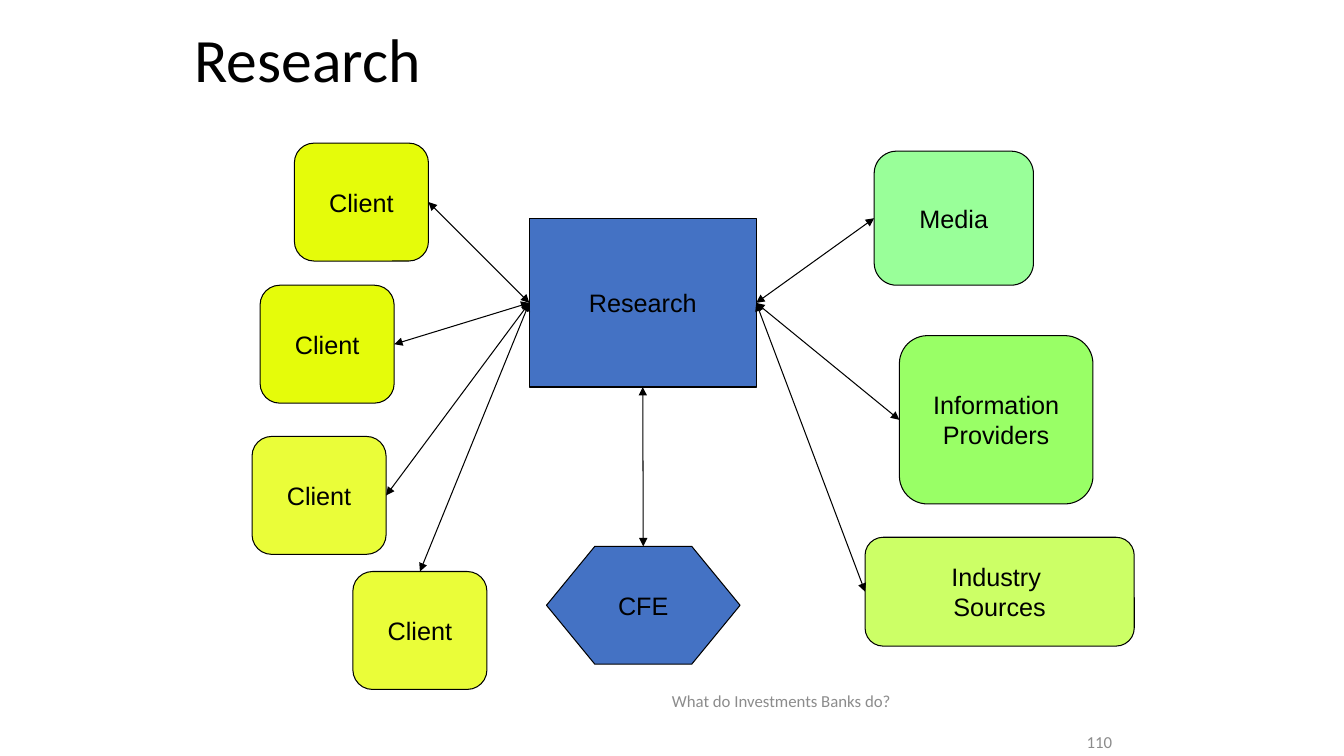
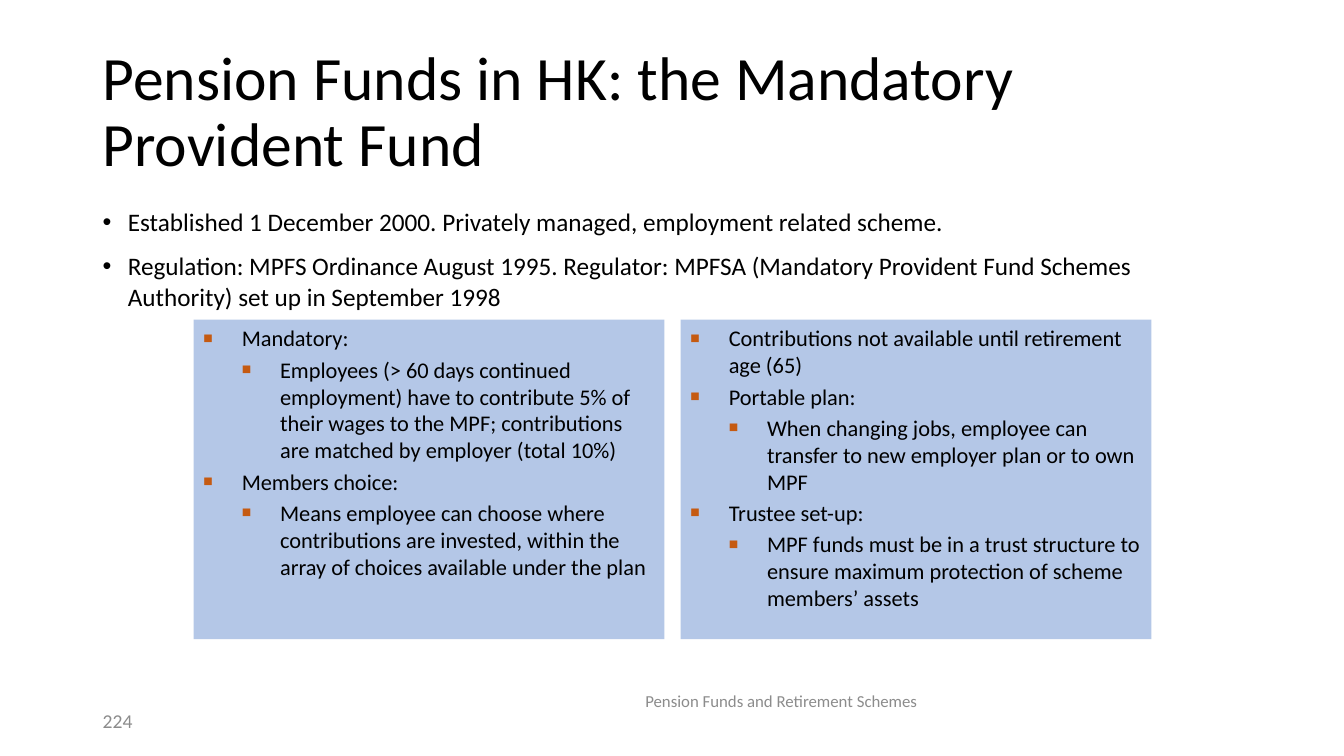
"""Build two slides: a research relationship diagram and a pension fund overview."""
from lxml import etree
from pptx import Presentation
from pptx.dml.color import RGBColor
from pptx.enum.shapes import MSO_CONNECTOR, MSO_SHAPE
from pptx.enum.text import MSO_ANCHOR, PP_ALIGN
from pptx.oxml.ns import qn
from pptx.util import Inches, Pt

RECT, ROUND, HEXAGON = MSO_SHAPE.RECTANGLE, MSO_SHAPE.ROUNDED_RECTANGLE, MSO_SHAPE.HEXAGON
STRAIGHT = MSO_CONNECTOR.STRAIGHT
LEFT, CENTER = PP_ALIGN.LEFT, PP_ALIGN.CENTER
TOP, MIDDLE = MSO_ANCHOR.TOP, MSO_ANCHOR.MIDDLE
SIDE_TOP, SIDE_LEFT, SIDE_BOTTOM, SIDE_RIGHT = range(4)

COLORS = {
    "ink": "000000", "muted": "8C8C8C", "blue": "4472C4", "panel": "B4C7E7",
    "square": "C55A11", "yellow": "E5FC0A", "pale_yellow": "EAFD39",
    "mint": "99FF99", "green": "99FF66", "lime": "CCFF66",
}
FOOTER_AREA = (3.84, 6.72, 7.82, 0.47)
CLIENT_SIZE = (1.33, 1.17)

RESEARCH_SLIDE = {
    "title": ("Research", (1.83, 0, 9.67, 1.25)),
    "footer": "What do Investments Banks do?",
    "number": ("110", (10.68, 7.2, 1.01, 0.32), 12),
}
HUB = (["Research"], (5.25, 2.17, 2.25, 1.67), "blue")
CFE = (["CFE"], (5.42, 5.42, 1.92, 1.17), "blue")
CLIENTS = [
    ((2.92, 1.42), "yellow", SIDE_RIGHT),
    ((2.58, 2.83), "yellow", SIDE_RIGHT),
    ((2.5, 4.33), "pale_yellow", SIDE_RIGHT),
    ((3.5, 5.67), "pale_yellow", SIDE_TOP),
]
SOURCES = [
    (["Media"], (8.67, 1.5, 1.58, 1.33), "mint"),
    (["Information", "Providers"], (8.92, 3.33, 1.92, 1.67), "green"),
    (["Industry ", "Sources"], (8.58, 5.33, 2.67, 1.08), "lime"),
]

PENSION_SLIDE = {
    "title": ("Pension Funds in HK: the Mandatory Provident Fund", (0.92, 0.4, 11.5, 1.45)),
    "footer": "Pension Funds and Retirement Schemes",
    "number": ("224", (0.92, 6.95, 3, 0.4), 14),
}
INTRO = [
    "Established 1 December 2000. Privately managed, employment related scheme.",
    "Regulation: MPFS Ordinance August 1995. Regulator: MPFSA (Mandatory Provident "
    "Fund Schemes Authority) set up in September 1998",
]
INTRO_AREA = (0.92, 2, 11.5, 4.76)
PANELS = [
    [
        (0, "Mandatory:"),
        (1, "Employees (> 60 days continued employment) have to contribute 5% of their "
            "wages to the MPF; contributions are matched by employer (total 10%)"),
        (0, "Members choice:"),
        (1, "Means employee can choose where contributions are invested, within the "
            "array of choices available under the plan"),
    ],
    [
        (0, "Contributions not available until retirement age (65)"),
        (0, "Portable plan:"),
        (1, "When changing jobs, employee can transfer to new employer plan or to own MPF"),
        (0, "Trustee set-up:"),
        (1, "MPF funds must be in a trust structure to ensure maximum protection of "
            "scheme members’ assets"),
    ],
]
PANEL_LEFT, PANEL_TOP, PANEL_WIDTH, PANEL_HEIGHT, PANEL_GAP = 1.92, 3.17, 4.67, 3.17, 0.16


def rgb(name):
    """Return the named colour."""
    return RGBColor.from_string(COLORS[name])


def add_bullet(para, mark, indent, level, color=None, percent=None):
    """Give a paragraph a hanging bullet."""
    para.level = level
    props = para._p.get_or_add_pPr()
    props.set("marL", str(Inches(indent * (level + 1))))
    props.set("indent", str(-Inches(indent)))
    if color:
        holder = etree.SubElement(props, qn("a:buClr"))
        etree.SubElement(holder, qn("a:srgbClr"), val=COLORS[color])
    if percent:
        etree.SubElement(props, qn("a:buSzPct"), val=str(percent * 1000))
    etree.SubElement(props, qn("a:buFont"), typeface="Arial")
    etree.SubElement(props, qn("a:buChar"), char=mark)


def write(box, items, size, font="Calibri", color="ink", align=LEFT, anchor=TOP,
          wrap=True, spacing=None, before=0, bullet=None):
    """Fill a box with (level, text) paragraphs."""
    frame = box.text_frame
    frame.word_wrap = wrap
    frame.vertical_anchor = anchor
    for index, (level, text) in enumerate(items):
        para = frame.paragraphs[0] if index == 0 else frame.add_paragraph()
        if bullet:
            add_bullet(para, level=level, **bullet)
        para.alignment = align
        if spacing:
            para.line_spacing = spacing
        if index and before:
            para.space_before = Pt(before)
        span = para.add_run()
        span.text = text
        span.font.name = font
        span.font.size = Pt(size)
        span.font.color.rgb = rgb(color)


def add_text(page, area, items, size, **style):
    """Add a text box."""
    write(page.shapes.add_textbox(*map(Inches, area)), items, size, **style)


def add_block(page, kind, area, fill, line=None):
    """Add a filled shape with an optional outline."""
    block = page.shapes.add_shape(kind, *map(Inches, area))
    block.shadow.inherit = False
    block.fill.solid()
    block.fill.fore_color.rgb = rgb(fill)
    if line:
        block.line.color.rgb = rgb(line)
        block.line.width = Pt(0.75)
    else:
        block.line.fill.background()
    return block


def add_node(page, kind, lines, area, fill):
    """Add a labelled diagram node."""
    node = add_block(page, kind, area, fill, line="ink")
    write(node, [(0, text) for text in lines], 18, font="Arial", align=CENTER,
          anchor=MIDDLE, wrap=False)
    return node


def add_arrow(page, start, start_side, end_point=(0, 0), end=None, end_side=None):
    """Join a node side to another side or a point with a two-way arrow."""
    arrow = page.shapes.add_connector(STRAIGHT, 0, 0, *end_point)
    arrow.begin_connect(start, start_side)
    if end is not None:
        arrow.end_connect(end, end_side)
    arrow.line.color.rgb = rgb("ink")
    arrow.line.width = Pt(0.75)
    outline = arrow.line._get_or_add_ln()
    for tag in ("a:headEnd", "a:tailEnd"):
        etree.SubElement(outline, qn(tag), type="triangle")
    etree.SubElement(arrow._element.spPr, qn("a:effectLst"))


def add_page(deck, content):
    """Add a blank page with its title, footer and number."""
    page = deck.slides.add_slide(deck.slide_layouts[6])
    title, title_area = content["title"]
    number, number_area, number_size = content["number"]
    add_text(page, title_area, [(0, title)], 44, anchor=MIDDLE, spacing=0.9)
    add_text(page, FOOTER_AREA, [(0, content["footer"])], 12, color="muted",
             align=CENTER, anchor=MIDDLE)
    add_text(page, number_area, [(0, number)], number_size, color="muted", anchor=MIDDLE)
    return page


def build_research(deck):
    """Build the research diagram."""
    page = add_page(deck, RESEARCH_SLIDE)
    hub = add_node(page, RECT, *HUB)
    cfe = add_node(page, HEXAGON, *CFE)
    cfe.adjustments[0] = 0.41
    add_arrow(page, hub, SIDE_BOTTOM, end_point=(cfe.left + cfe.width // 2, cfe.top))
    for corner, fill, side in CLIENTS:
        client = add_node(page, ROUND, ["Client"], corner + CLIENT_SIZE, fill)
        add_arrow(page, client, side, end=hub, end_side=SIDE_LEFT)
    for source in SOURCES:
        node = add_node(page, ROUND, *source)
        add_arrow(page, hub, SIDE_RIGHT, end=node, end_side=SIDE_LEFT)


def build_pension(deck):
    """Build the pension fund overview."""
    page = add_page(deck, PENSION_SLIDE)
    add_text(page, INTRO_AREA, [(0, text) for text in INTRO], 18, before=10,
             bullet={"mark": "•", "indent": 0.25})
    square = {"mark": "■", "indent": 0.38, "color": "square", "percent": 70}
    for index, items in enumerate(PANELS):
        left = PANEL_LEFT + index * (PANEL_WIDTH + PANEL_GAP)
        panel = add_block(page, RECT, (left, PANEL_TOP, PANEL_WIDTH, PANEL_HEIGHT), "panel")
        write(panel, items, 16, before=3.2, bullet=square)


def main():
    """Build and save the deck."""
    deck = Presentation()
    deck.slide_width, deck.slide_height = Inches(13.33), Inches(7.5)
    build_research(deck)
    build_pension(deck)
    deck.save("out.pptx")


if __name__ == "__main__":
    main()
